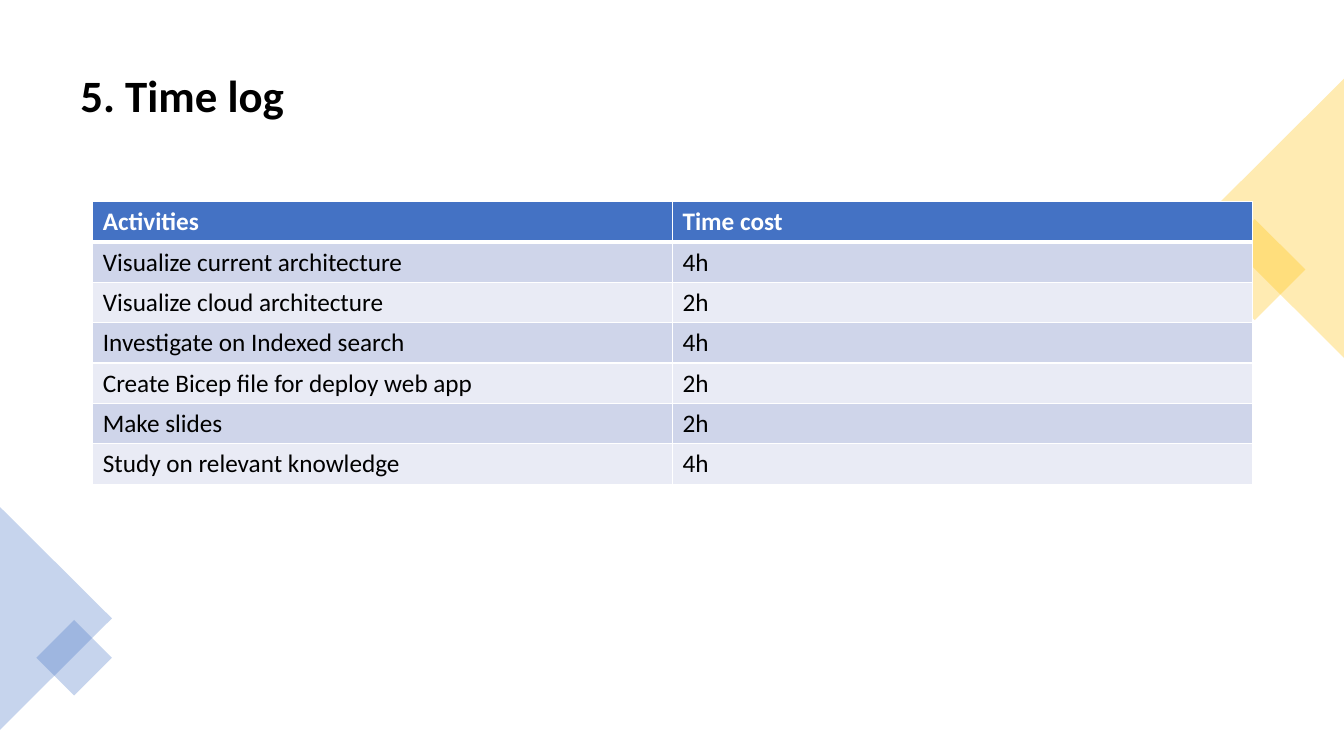
from lxml.etree import SubElement
from pptx import Presentation
from pptx.dml.color import RGBColor
from pptx.enum.shapes import MSO_SHAPE as Preset
from pptx.enum.text import MSO_ANCHOR as Anchor
from pptx.oxml.ns import qn
from pptx.util import Inches, Pt

FONT = "Calibri"
BLUE, GOLD, WHITE, BLACK = "4472C4", "FFC000", "FFFFFF", "000000"
BANDS = ("CFD5EA", "E9EBF5")

TIME_LOG = [
    ("Activities", "Time cost"),
    ("Visualize current architecture", "4h"),
    ("Visualize cloud architecture", "2h"),
    ("Investigate on Indexed search", "4h"),
    ("Create Bicep file for deploy web app", "2h"),
    ("Make slides", "2h"),
    ("Study on relevant knowledge", "4h"),
]

# Corner ornaments: preset, left, top, width, height, rotation, colour
ORNAMENTS = [
    (Preset.RECTANGLE, 12.09, 2.32, 0.71, 0.71, 45, GOLD),
    (Preset.ISOSCELES_TRIANGLE, 11.25, 1.47, 2.77, 1.39, 270, GOLD),
    (Preset.ISOSCELES_TRIANGLE, -0.55, 5.58, 2.21, 1.11, 90, BLUE),
    (Preset.RECTANGLE, 0.47, 6.26, 0.53, 0.53, 45, BLUE),
]


def paint(fill, color, opacity=None):
    """Fill with a hex colour, optionally see-through (opacity in percent)."""
    fill.solid()
    fill.fore_color.rgb = RGBColor.from_string(color)
    if opacity is not None:
        tint = fill._xPr.find(qn("a:solidFill"))[0]
        SubElement(tint, qn("a:alpha"), val=str(opacity * 1000))


def write(paragraph, text, color, **formats):
    run = paragraph.add_run()
    run.text = text
    for attribute, value in {"name": FONT, **formats}.items():
        setattr(run.font, attribute, value)
    paint(run.font.fill, color)


def add_title(slide, text):
    frame = slide.shapes.add_textbox(
        Inches(0.7), Inches(0.35), Inches(11.93), Inches(1.24)).text_frame
    frame.word_wrap = True
    frame.vertical_anchor = Anchor.MIDDLE
    heading = frame.paragraphs[0]
    for attribute, value in {"line_spacing": 0.9, "space_after": Pt(6)}.items():
        setattr(heading, attribute, value)
    write(heading, text, BLACK, size=Pt(32), bold=True)


def add_ornament(slide, preset, left, top, width, height, rotation, color):
    ornament = slide.shapes.add_shape(
        preset, *(Inches(length) for length in (left, top, width, height)))
    ornament.rotation = rotation
    ornament.shadow.inherit = False
    ornament.line.fill.background()
    paint(ornament.fill, color, opacity=30)


def add_borders(cell, widths):
    """Draw white cell edges; widths maps the side L, R, T, B to points."""
    properties = cell._tc.get_or_add_tcPr()
    for side, width in widths.items():
        edge = SubElement(properties, qn(f"a:ln{side}"), w=str(Pt(width)))
        color = SubElement(edge, qn("a:solidFill"))
        SubElement(color, qn("a:srgbClr"), val=WHITE)


def add_time_table(slide, entries):
    row_height = 0.4
    table = slide.shapes.add_table(
        len(entries), len(entries[0]), Inches(0.92), Inches(2),
        Inches(11.5), Inches(row_height * len(entries))).table
    for row in table.rows:
        row.height = Inches(row_height)
    for row_no, entry in enumerate(entries):
        header = row_no == 0
        # A thick rule separates the header from the first activity
        edges = {"L": 1, "R": 1, "T": 3 if row_no == 1 else 1, "B": 3 if header else 1}
        for column_no, text in enumerate(entry):
            cell = table.cell(row_no, column_no)
            add_borders(cell, edges)
            paint(cell.fill, BLUE if header else BANDS[(row_no - 1) % 2])
            write(cell.text_frame.paragraphs[0], text,
                  WHITE if header else BLACK, size=Pt(18), bold=header)


def main():
    deck = Presentation()
    deck.slide_width, deck.slide_height = Inches(13.33), Inches(7.5)
    slide = deck.slides.add_slide(deck.slide_layouts[6])
    paint(slide.background.fill, WHITE)

    add_title(slide, "5. Time log")
    for ornament in ORNAMENTS:
        add_ornament(slide, *ornament)
    add_time_table(slide, TIME_LOG)

    deck.save("out.pptx")


main()
